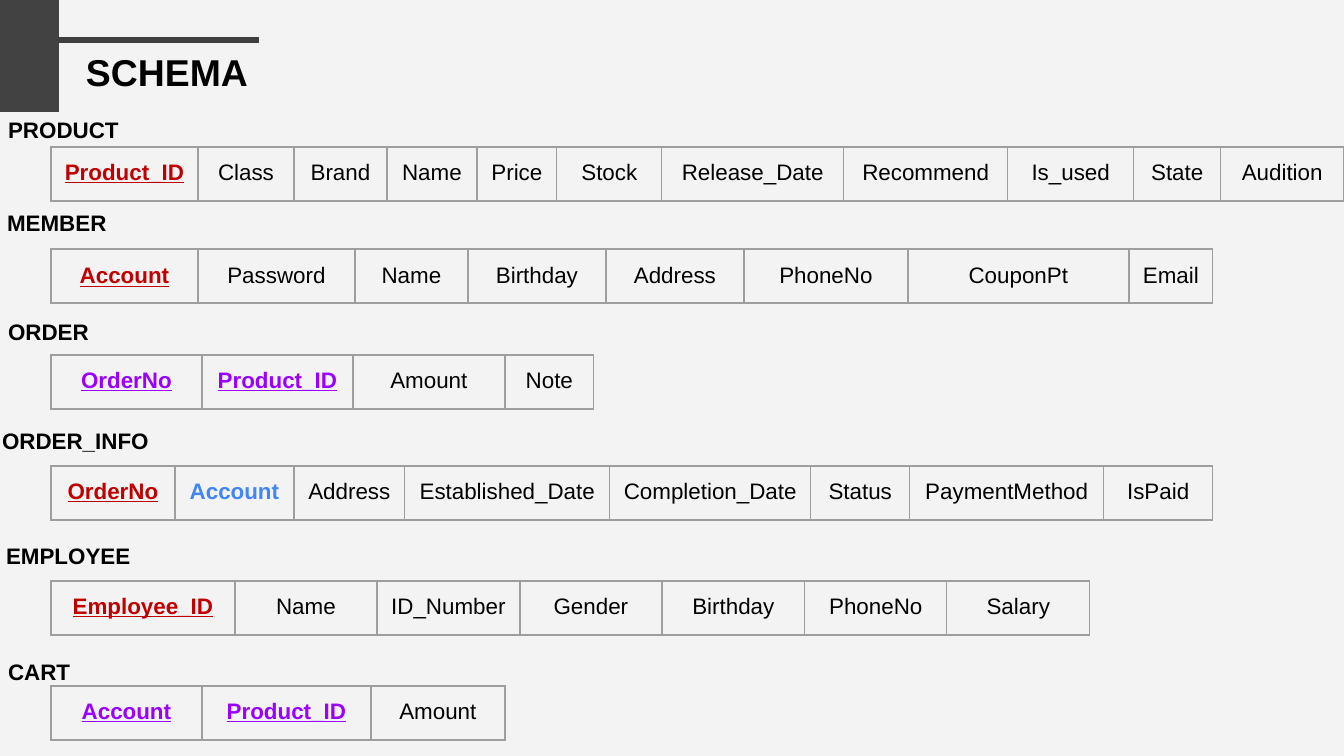
from pptx import Presentation
from pptx import util as u
from pptx.dml.color import RGBColor
from pptx.enum import shapes, text
from pptx.oxml import parse_xml
from pptx.oxml.ns import nsdecls

SCALE = 914400 / 134.4
BACKGROUND = RGBColor(0xF3, 0xF3, 0xF3)
BLOCK = RGBColor(0x42, 0x42, 0x42)
RULE = RGBColor(0x3F, 0x3F, 0x3F)
BORDER = RGBColor(0x9E, 0x9E, 0x9E)
BLACK = RGBColor(0, 0, 0)
RED = RGBColor(0xC0, 0, 0)
PURPLE = RGBColor(0x99, 0, 0xFF)
BLUE = RGBColor(0x42, 0x85, 0xF4)

PLAIN = {}
PRIMARY = dict(color=RED, bold=True, underline=True)
SHARED = dict(color=PURPLE, bold=True, underline=True)
FOREIGN = dict(color=BLUE, bold=True)
TOP = text.MSO_ANCHOR.TOP
MIDDLE = text.MSO_ANCHOR.MIDDLE

TABLE_LEFT = 51
FRAME_SIDE = 441
ROW_HEIGHT = 54
INSET = 13

RELATIONS = [
    ("PRODUCT", (-5, 103), 147, TOP, [PRIMARY],
     ["Product_ID", "Class", "Brand", "Name", "Price", "Stock", "Release_Date",
      "Recommend", "Is_used", "State", "Audition"],
     [147, 96, 93, 90, 80, 105, 182, 164, 126, 87, 123]),
    ("MEMBER", (-6, 196), 249, MIDDLE, [PRIMARY],
     ["Account", "Password", "Name", "Birthday", "Address", "PhoneNo",
      "CouponPt", "Email"],
     [147, 157, 113, 138, 138, 164, 221, 84]),
    ("ORDER", (-5, 305), 355, TOP, [SHARED, SHARED],
     ["OrderNo", "Product_ID", "Amount", "Note"],
     [151, 151, 152, 89]),
    ("EMPLOYEE", (-7, 529), 581, TOP, [PRIMARY],
     ["Employee_ID", "Name", "ID_Number", "Gender", "Birthday", "PhoneNo",
      "Salary"],
     [184] + [142, 143] * 3),
    ("ORDER_INFO", (-11, 414), 466, TOP, [PRIMARY, FOREIGN],
     ["OrderNo", "Account", "Address", "Established_Date", "Completion_Date",
      "Status", "PaymentMethod", "IsPaid"],
     [124, 119, 111, 205, 201, 99, 194, 109]),
    ("CART", (-5, 645), 686, TOP, [SHARED, SHARED],
     ["Account", "Product_ID", "Amount"],
     [151, 169, 134]),
]


def px(length):
    return u.Emu(round(length * SCALE))


def write(para, words, size=12, color=BLACK, bold=False, underline=False,
          align=text.PP_ALIGN.LEFT):
    para.alignment = align
    span = para.add_run()
    span.text = words
    span.font.name = "Arial"
    span.font.size = u.Pt(size)
    span.font.color.rgb = color
    span.font.bold = bold
    span.font.underline = underline


def set_insets(holder):
    holder.margin_left = holder.margin_right = px(INSET)
    holder.margin_top = holder.margin_bottom = px(INSET)


def add_label(page, words, left, top, width, height, **style):
    box = page.shapes.add_textbox(px(left), px(top), px(width), px(height))
    frame = box.text_frame
    frame.word_wrap = True
    set_insets(frame)
    write(frame.paragraphs[0], words, bold=True, **style)


def draw_borders(cell):
    properties = cell._tc.get_or_add_tcPr()
    for side in ("lnL", "lnR", "lnT", "lnB"):
        properties.append(parse_xml(
            f'<a:{side} {nsdecls("a")} w="{u.Pt(0.75)}"><a:solidFill>'
            f'<a:srgbClr val="{BORDER}"/></a:solidFill></a:{side}>'))


def add_relation_table(page, top, anchor, keys, fields, widths):
    frame = page.shapes.add_table(1, len(fields), px(TABLE_LEFT), px(top),
                                  px(sum(widths)), px(ROW_HEIGHT))
    table = frame.table
    table.first_row = table.horz_banding = False
    table.rows[0].height = px(ROW_HEIGHT)
    styles = keys + [PLAIN] * (len(fields) - len(keys))
    for index, (field, width, style) in enumerate(zip(fields, widths, styles)):
        table.columns[index].width = px(width)
        cell = table.cell(0, index)
        set_insets(cell)
        cell.vertical_anchor = anchor
        draw_borders(cell)
        cell.fill.background()
        write(cell.text_frame.paragraphs[0], field,
              align=text.PP_ALIGN.CENTER, **style)
    frame.width = frame.height = px(FRAME_SIDE)


def add_block(page, left, top, width, height):
    block = page.shapes.add_shape(shapes.MSO_SHAPE.RECTANGLE, px(left), px(top),
                                  px(width), px(height))
    block.shadow.inherit = False
    block.fill.solid()
    block.fill.fore_color.rgb = BLOCK
    block.line.fill.background()


def add_rule(page, left, right, top):
    rule = page.shapes.add_connector(shapes.MSO_CONNECTOR.STRAIGHT, px(left),
                                     px(top), px(right), px(top))
    rule.line.color.rgb = RULE
    rule.line.width = u.Pt(3)
    rule._element.spPr.append(parse_xml(f'<a:effectLst {nsdecls("a")}/>'))


def main():
    deck = Presentation()
    deck.slide_width, deck.slide_height = px(1344), px(756)
    page = deck.slides.add_slide(deck.slide_layouts[6])
    page.background.fill.solid()
    page.background.fill.fore_color.rgb = BACKGROUND

    add_block(page, 0, 0, 59, 112)
    add_rule(page, 59, 259, 40)
    add_label(page, "SCHEMA", 73, 36, 1253, 85, size=20)
    for name, (left, label_top), top, anchor, keys, fields, widths in RELATIONS:
        add_label(page, name, left, label_top, 255, ROW_HEIGHT)
        add_relation_table(page, top, anchor, keys, fields, widths)

    deck.save("out.pptx")


if __name__ == "__main__":
    main()
